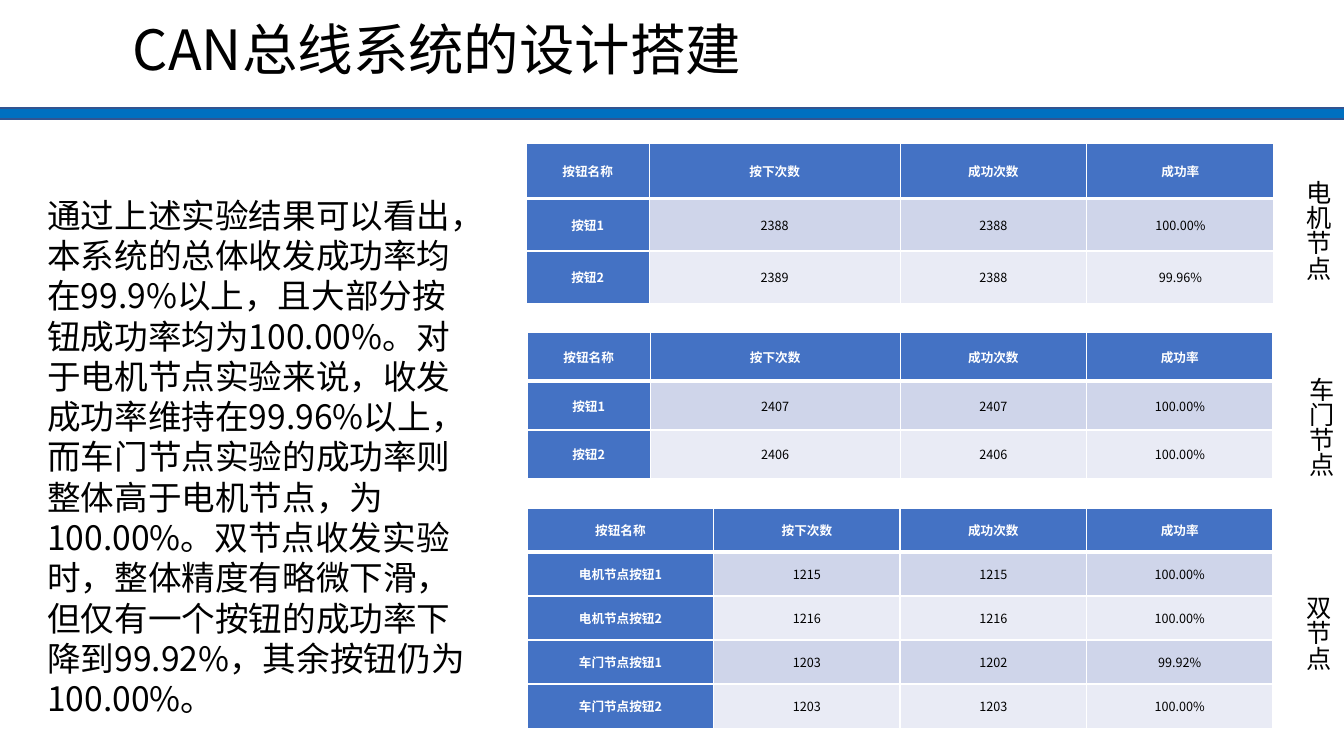
"""Build the slide on CAN bus button tests: conclusions beside three result tables."""
from lxml.etree import SubElement
from pptx import Presentation
from pptx.dml.color import RGBColor as Rgb
from pptx.enum.shapes import MSO_SHAPE as Shape
from pptx.enum.text import MSO_ANCHOR as Anchor, PP_ALIGN as Align
from pptx.oxml.ns import qn
from pptx.util import Inches, Pt

FONT = "Noto Sans CJK SC"
COLORS = {"bar": "0070C0", "bar_edge": "325491", "head": "4472C4",
          "odd": "CFD5EA", "even": "E9EBF5", "white": "FFFFFF", "black": "000000"}
COLUMNS, ROWS = 160, 90

prs = Presentation()
prs.slide_width, prs.slide_height = Inches(13.33), Inches(7.5)
col, row = prs.slide_width / COLUMNS, prs.slide_height / ROWS
slide = prs.slides.add_slide(prs.slide_layouts[6])


def place(left, top, width, height):
    return int(left * col), int(top * row), int(width * col), int(height * row)


def write(frame, text, size, color="black", bold=False, align=None, spacing=None):
    paragraph = frame.paragraphs[0]
    paragraph.alignment = align
    paragraph.line_spacing = spacing
    run = paragraph.add_run()
    run.text = text
    run.font.size, run.font.bold, run.font.name = Pt(size), bold, FONT
    run.font.color.rgb = Rgb.from_string(COLORS[color])
    SubElement(run.font._element, qn("a:ea"), typeface=FONT)


bar = slide.shapes.add_shape(Shape.RECTANGLE, *place(-3.1, 12.84, 166.1, 1.32))
bar.shadow.inherit = False
bar.fill.solid()
bar.fill.fore_color.rgb = Rgb.from_string(COLORS["bar"])
bar.line.color.rgb = Rgb.from_string(COLORS["bar_edge"])
bar.line.width = Pt(1)

title = slide.shapes.add_textbox(*place(14.64, 2.4, 138, 8.16)).text_frame
title.word_wrap = True
title.vertical_anchor = Anchor.MIDDLE
write(title, "CAN总线系统的设计搭建", 39.6, spacing=0.8)

conclusion = slide.shapes.add_textbox(*place(4.44, 22.56, 53.64, 59.4)).text_frame
conclusion.word_wrap = True
write(conclusion,
      "通过上述实验结果可以看出，本系统的总体收发成功率均在99.9%以上，"
      "且大部分按钮成功率均为100.00%。对于电机节点实验来说，"
      "收发成功率维持在99.96%以上，而车门节点实验的成功率则整体高于电机节点，"
      "为100.00%。双节点收发实验时，整体精度有略微下滑，"
      "但仅有一个按钮的成功率下降到99.92%，其余按钮仍为100.00%。", 24)

headings = ["按钮名称", "按下次数", "成功次数", "成功率"]
experiments = [
    ((62.64, 17.04), [14.64, 29.88, 22.2, 22.32], 6.6, 6.24,
     [("按钮1", 2388, 2388), ("按钮2", 2389, 2388)]),
    ((62.76, 39.6), [14.64, 29.76, 22.2, 22.2], 5.8, 5.8,
     [("按钮1", 2407, 2407), ("按钮2", 2406, 2406)]),
    ((62.76, 60.48), [22.2] * 4, 5.24, 5.24,
     [("电机节点按钮1", 1215, 1215), ("电机节点按钮2", 1216, 1216),
      ("车门节点按钮1", 1203, 1202), ("车门节点按钮2", 1203, 1203)]),
]
for corner, widths, head_height, body_height, trials in experiments:
    heights = [head_height] + [body_height] * len(trials)
    results = slide.shapes.add_table(
        len(heights), len(widths), *place(*corner, sum(widths), sum(heights))).table
    for column, width in zip(results.columns, widths):
        column.width = int(width * col)
    for line, height in zip(results.rows, heights):
        line.height = int(height * row)
    records = [headings] + [(name, str(pressed), str(passed), f"{passed / pressed:.2%}")
                            for name, pressed, passed in trials]
    for r, record in enumerate(records):
        for c, value in enumerate(record):
            cell = results.cell(r, c)
            is_head = r == 0 or c == 0
            cell.vertical_anchor = Anchor.MIDDLE
            cell.margin_left = cell.margin_right = Inches(0.07)
            cell.margin_top = cell.margin_bottom = 0
            for side in "LRTB":
                thick = (r, side) in [(0, "B"), (1, "T")]
                border = SubElement(cell._tc.tcPr, qn(f"a:ln{side}"), w=str(Pt(3 if thick else 1)))
                SubElement(SubElement(border, qn("a:solidFill")), qn("a:srgbClr"),
                           val=COLORS["white"])
            cell.fill.solid()
            shade = "head" if is_head else "odd" if r % 2 else "even"
            cell.fill.fore_color.rgb = Rgb.from_string(COLORS[shade])
            write(cell.text_frame, value, 9, "white" if is_head else "black",
                  bold=is_head, align=Align.CENTER)

node_labels = [("电机节点", 153.36, 20.28, 13.32),
               ("车门节点", 153.72, 43.68, 13.32),
               ("双节点", 153.36, 69.72, 10.32)]
for node, left, top, height in node_labels:
    label = slide.shapes.add_textbox(*place(left, top, 6, height)).text_frame
    label.word_wrap = False
    label._txBody.bodyPr.set("vert", "eaVert")
    write(label, node, 18)

prs.save("out.pptx")
